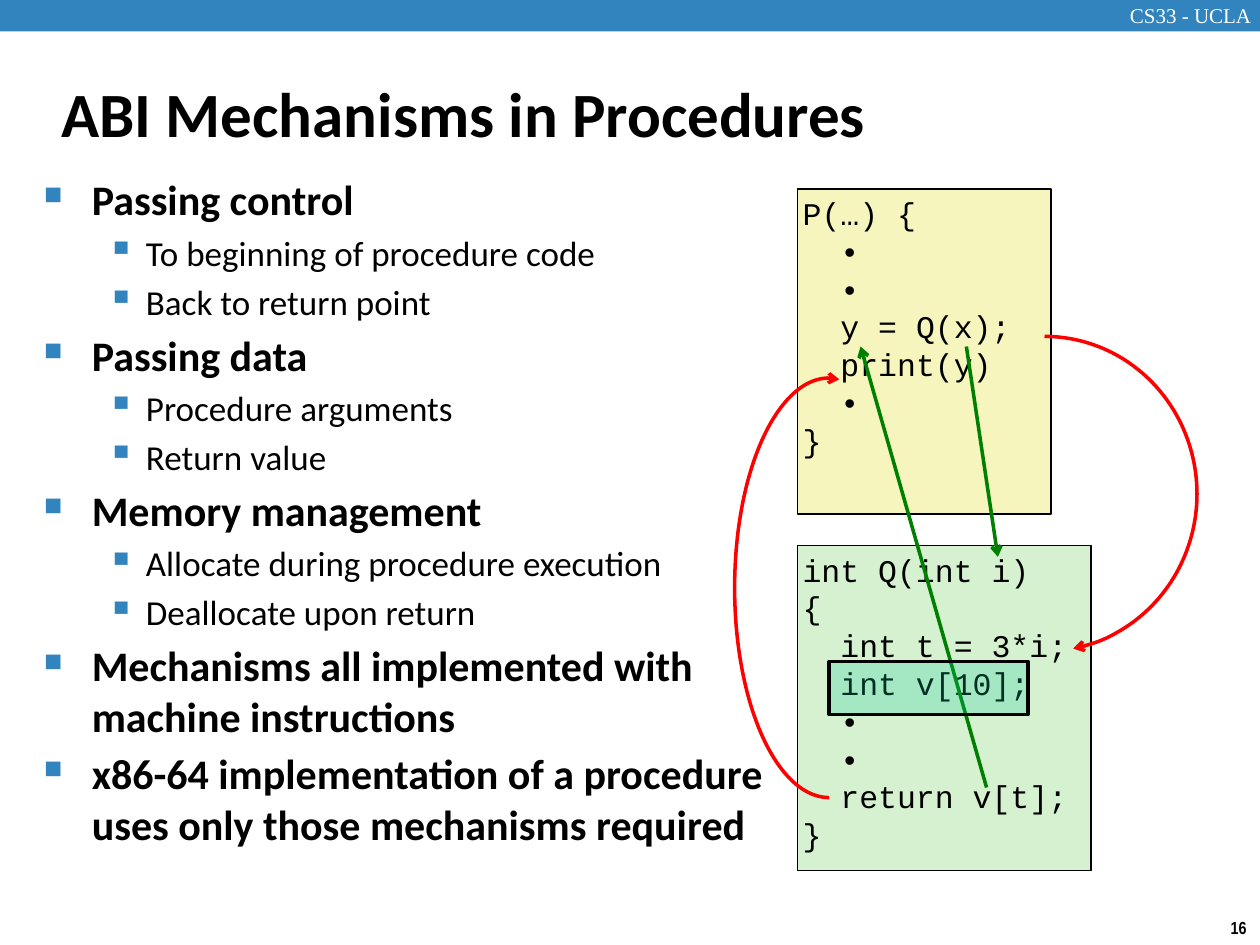
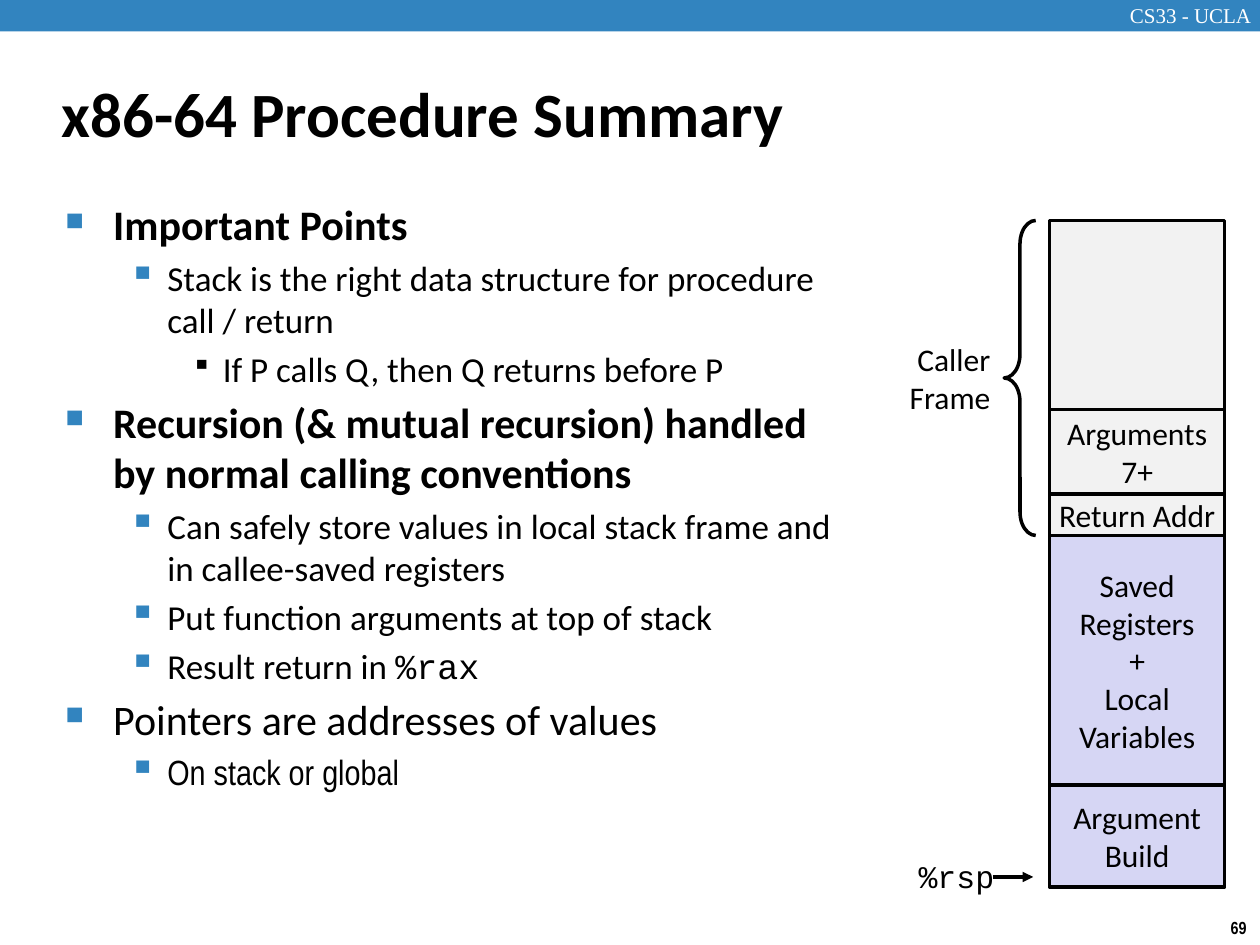
from lxml import etree
from pptx import Presentation
from pptx.dml import color
from pptx.enum import shapes, text
from pptx.oxml import ns
from pptx.util import Inches, Pt

BLUE = "3284BF"
BLACK = "000000"
WHITE = "FFFFFF"
RED = "FF0000"
GREEN = "008000"
CALLER_GRAY = "F2F2F2"
CALLEE_LILAC = "D6D6F4"

BODY = "Calibri"
CODE = "Courier New"
NARROW = "Arial Narrow"
LEFT, CENTER, RIGHT = text.PP_ALIGN.LEFT, text.PP_ALIGN.CENTER, text.PP_ALIGN.RIGHT
TOP, MIDDLE = text.MSO_ANCHOR.TOP, text.MSO_ANCHOR.MIDDLE

BULLETS = [
    {"margin": 0.38, "hang": 0.38, "mark": "■", "percent": 60, "hue": BLUE, "size": 24, "bold": True},
    {"margin": 0.81, "hang": 0.31, "mark": "▪", "percent": 110, "hue": BLUE, "size": 20, "bold": False},
    {"margin": 1.25, "hang": 0.25, "mark": "▪", "percent": 80, "hue": BLACK, "size": 20, "bold": False},
]


def rgb(value):
    return color.RGBColor.from_string(value)


def add_tag(parent, tag, **attributes):
    return etree.SubElement(parent, ns.qn(tag), attributes)


class Deck:
    def __init__(self):
        self.deck = Presentation()
        self.deck.slide_width = Inches(10)
        self.deck.slide_height = Inches(7.5)
        self.page = None

    def add_page(self, title, number):
        self.page = self.deck.slides.add_slide(self.deck.slide_layouts[6])
        self.shape("RECTANGLE", (0, 0, 10, 0.25), fill=BLUE)
        self.label((8.83, -0.03, 1.24, 0.3), ["CS33 - UCLA"], 12, "Times New Roman", WHITE, CENTER, inset=0.05)
        self.label((9.66, 7.23, 0.34, 0.27), [number], 10, NARROW, align=CENTER, bold=True, inset=0.05)
        self.label((0.39, 0.48, 8.3, 0.83), [title], 36, bold=True, anchor=MIDDLE, inset=0.1)

    def style(self, font, size, name=BODY, hue=BLACK, bold=False):
        font.size = Pt(size)
        font.name = name
        font.bold = bold
        font.color.rgb = rgb(hue)

    def frame(self, box, inset, anchor=TOP):
        frame = box.text_frame
        frame.word_wrap = True
        frame.vertical_anchor = anchor
        frame.margin_left = frame.margin_right = Inches(inset)
        frame.margin_top = frame.margin_bottom = Inches(min(inset, 0.05))
        return frame

    def paragraphs(self, frame, items):
        for index, item in enumerate(items):
            yield (frame.add_paragraph() if index else frame.paragraphs[0]), item

    def fill_text(self, box, lines, size, name=BODY, hue=BLACK, align=LEFT, bold=False, anchor=TOP, inset=0.04):
        for para, line in self.paragraphs(self.frame(box, inset, anchor), lines):
            para.alignment = align
            self.style(para.font, size, name, hue, bold)
            para.add_run().text = line

    def text_box(self, place):
        return self.page.shapes.add_textbox(*map(Inches, place))

    def label(self, place, lines, size, *args, **options):
        self.fill_text(self.text_box(place), lines, size, *args, **options)

    def outline(self, place, items):
        frame = self.frame(self.text_box(place), 0.1)
        for para, (level, spans, *changes) in self.paragraphs(frame, items):
            rule = BULLETS[level]
            para.level = level
            para.space_before = Pt(4)
            self.bullet(para, rule)
            look = {"size": rule["size"], "bold": rule["bold"]}
            for change in changes:
                look.update(change)
            self.style(para.font, **look)
            for span_text, *names in [(spans,)] if isinstance(spans, str) else spans:
                span = para.add_run()
                span.text = span_text
                for name in names:
                    span.font.name = name

    def indent(self, para, margin, hang=0):
        properties = para._p.get_or_add_pPr()
        properties.set("marL", str(Inches(margin)))
        properties.set("indent", str(-Inches(hang)))
        return properties

    def bullet(self, para, rule):
        properties = self.indent(para, rule["margin"], rule["hang"])
        add_tag(add_tag(properties, "a:buClr"), "a:srgbClr", val=rule["hue"])
        add_tag(properties, "a:buSzPct", val=str(rule["percent"] * 1000))
        add_tag(properties, "a:buChar", char=rule["mark"])

    def shape(self, kind, place, fill=None, line=None, width=2, opacity=None):
        box = self.page.shapes.add_shape(shapes.MSO_SHAPE[kind], *map(Inches, place))
        box.shadow.inherit = False
        if fill:
            box.fill.solid()
            box.fill.fore_color.rgb = rgb(fill)
        else:
            box.fill.background()
        if opacity:
            hue = box._element.spPr.find(ns.qn("a:solidFill")).find(ns.qn("a:srgbClr"))
            add_tag(hue, "a:alpha", val=str(opacity * 1000))
        if line:
            box.line.color.rgb = rgb(line)
            box.line.width = Pt(width)
        else:
            box.line.fill.background()
        return box

    def code(self, place, fill, opening, body, closing):
        box = self.shape("RECTANGLE", place, fill, BLACK, 1)
        self.fill_text(box, opening + body + closing, 18, CODE)
        for para in box.text_frame.paragraphs[len(opening):len(opening) + len(body)]:
            self.indent(para, 0.3)

    def arrowhead(self, item, kind):
        add_tag(item._element.spPr.find(ns.qn("a:ln")), "a:tailEnd", type=kind)

    def arc(self, place, end_degrees, rotation=0):
        box = self.shape("ARC", place, line=RED)
        box.adjustments[0] = 270 * 0.6
        box.adjustments[1] = end_degrees * 0.6
        box.rotation = rotation
        self.arrowhead(box, "arrow")

    def arrow(self, start, end, hue, head="arrow"):
        link = self.page.shapes.add_connector(shapes.MSO_CONNECTOR.STRAIGHT, *map(Inches, start + end))
        link.line.color.rgb = rgb(hue)
        link.line.width = Pt(2)
        self.arrowhead(link, head)
        add_tag(link._element.spPr, "a:effectLst")

    def stack(self, left, top, width, blocks):
        for height, fill, lines in blocks:
            box = self.shape("RECTANGLE", (left, top, width, height), fill, BLACK)
            if lines:
                self.fill_text(box, lines, 18, align=CENTER, anchor=MIDDLE, inset=0)
            top += height


def build_mechanisms(deck):
    deck.add_page("ABI Mechanisms in Procedures", "16")
    deck.outline((0.25, 1.33, 5.92, 5.94), [
        (0, "Passing control"),
        (1, "To beginning of procedure code"),
        (1, "Back to return point"),
        (0, "Passing data"),
        (1, "Procedure arguments"),
        (1, "Return value"),
        (0, "Memory management"),
        (1, "Allocate during procedure execution"),
        (1, "Deallocate upon return"),
        (0, "Mechanisms all implemented with machine instructions"),
        (0, "x86-64 implementation of a procedure uses only those mechanisms required"),
    ])
    deck.code((6.33, 1.5, 2.01, 2.58), "F6F5BD",
              ["P(…) {"], ["•", "•", "y = Q(x);", "print(y)", "•"], ["}"])
    deck.code((6.33, 4.33, 2.33, 2.58), "D5F1CF",
              ["int Q(int i)", "{"], ["int t = 3*i;", "int v[10];", "•", "•", "return v[t];"], ["}"])
    deck.arc((7.08, 2.67, 2.42, 2.5), 79.48)
    deck.arc((5.83, 3, 1.5, 3.33), 92.79, rotation=180)
    deck.arrow((7.67, 2.75), (7.92, 4.42), GREEN)
    deck.arrow((7.83, 6.25), (6.83, 2.75), GREEN)
    deck.shape("RECTANGLE", (6.58, 5.25, 1.58, 0.42), "00CC99", BLACK, opacity=23)


def build_summary(deck):
    deck.add_page("x86-64 Procedure Summary", "69")
    deck.outline((0.42, 1.53, 6.42, 5.72), [
        (0, "Important Points"),
        (1, "Stack is the right data structure for procedure call / return"),
        (2, "If P calls Q, then Q returns before P"),
        (0, "Recursion (& mutual recursion) handled by normal calling conventions"),
        (1, "Can safely store values in local stack frame and in callee-saved registers"),
        (1, "Put function arguments at top of stack"),
        (1, [("Result return in ",), ("%rax", CODE)]),
        (0, "Pointers are addresses of values", {"bold": False}),
        (1, "On stack or global", {"name": NARROW}),
    ])
    deck.stack(8.33, 1.75, 1.39, [
        (1.5, CALLER_GRAY, []),
        (0.67, CALLER_GRAY, ["Arguments", "7+"]),
        (0.33, CALLER_GRAY, ["Return Addr"]),
        (1.98, CALLEE_LILAC, ["Saved", "Registers", "+", "Local", "Variables"]),
        (0.81, CALLEE_LILAC, ["Argument", "Build"]),
    ])
    deck.label((7.15, 2.66, 0.75, 0.69), ["Caller", "Frame"], 18, align=RIGHT)
    brace = deck.shape("LEFT_BRACE", (7.97, 1.75, 0.25, 2.5), line=BLACK)
    brace.adjustments[0] = 0.75
    deck.arrow((7.88, 6.96), (8.2, 6.96), BLACK, "triangle")
    deck.label((6.31, 6.76, 1.62, 0.36), ["%rsp"], 18, CODE, align=RIGHT)


def main():
    deck = Deck()
    build_mechanisms(deck)
    build_summary(deck)
    deck.deck.save("out.pptx")


if __name__ == "__main__":
    main()
